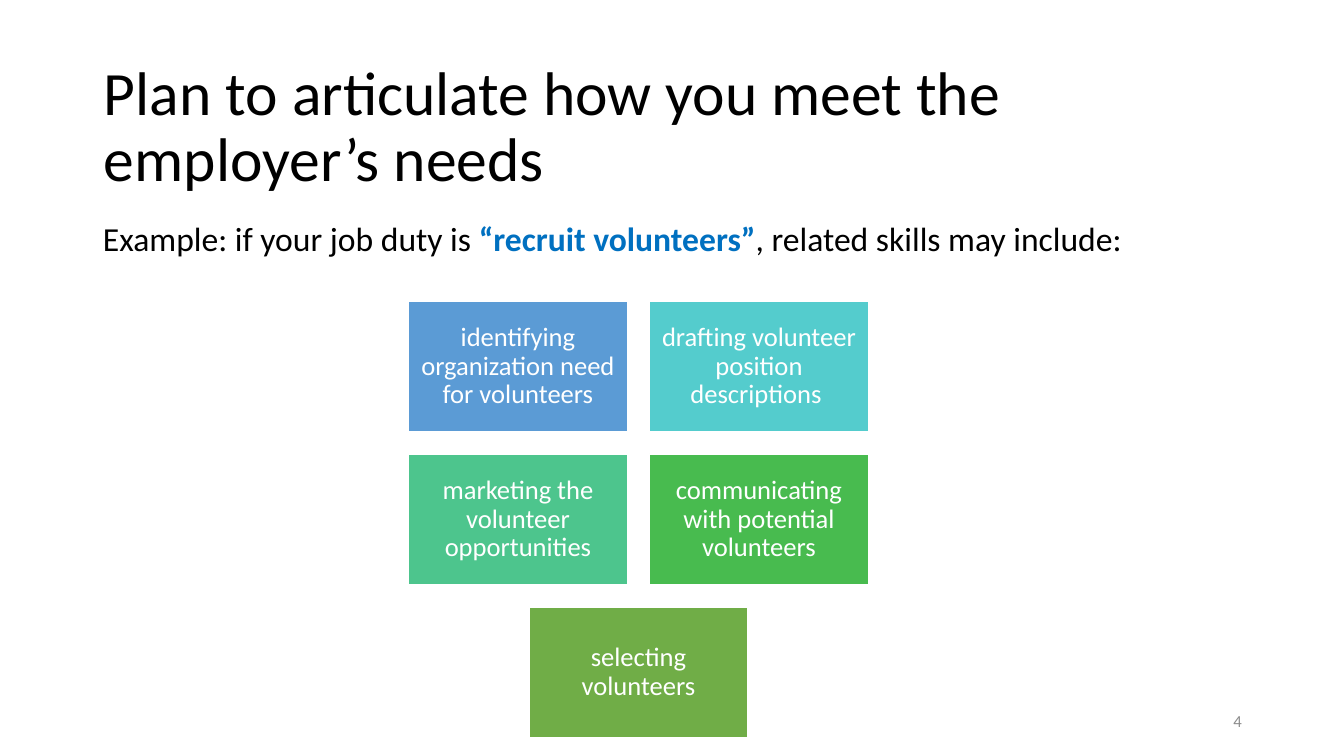
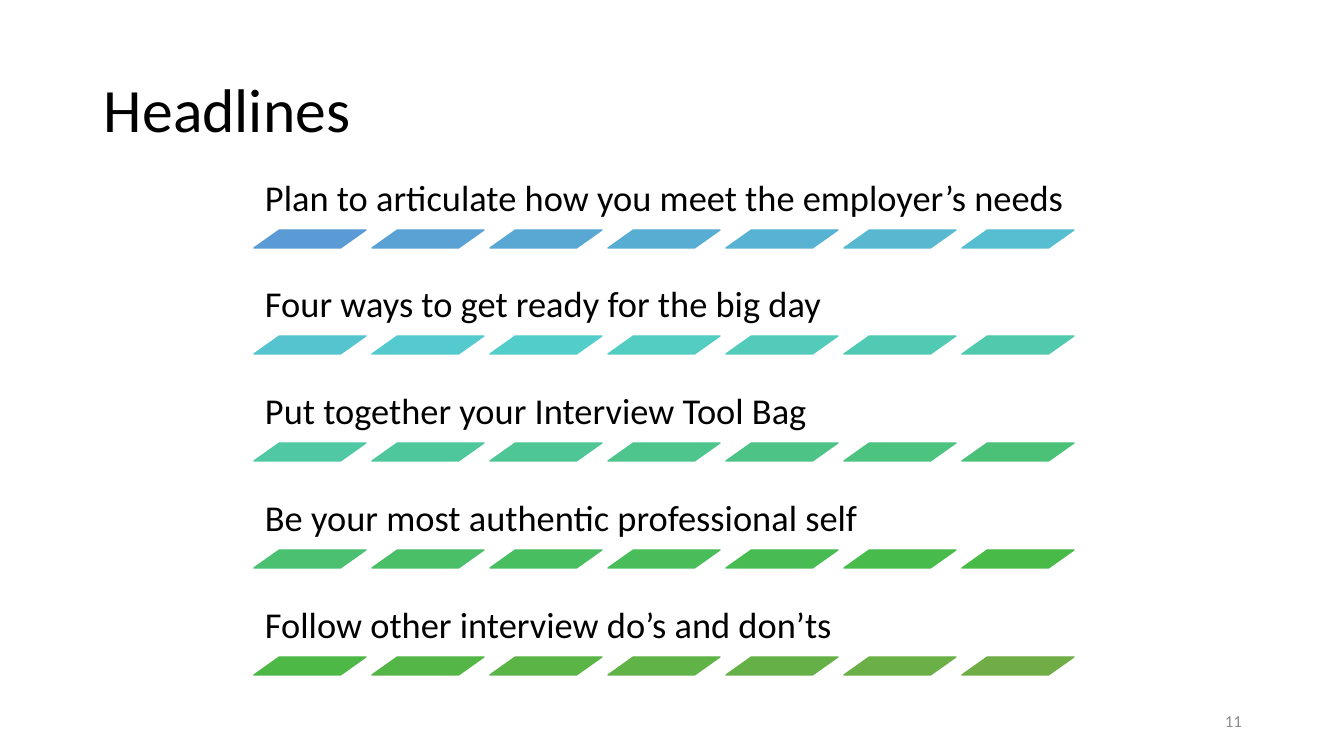
from colorsys import hls_to_rgb, rgb_to_hls
from pptx import Presentation
from pptx.dml.color import RGBColor
from pptx.enum.shapes import MSO_SHAPE as Shape
from pptx.enum.text import MSO_ANCHOR as Anchor, MSO_AUTO_SIZE as AutoSize, PP_ALIGN as Align
from pptx.util import Emu, Pt

FONT = "Calibri"
BLACK, WHITE, GREY, ACCENT = "000000", "FFFFFF", "8C8C8C", "0070C0"
GRADIENT_START, GRADIENT_END = "5B9BD5", "70AD47"
TITLE_ONLY = 5
SLIDE_SIZE = (1344, 756)
PAGE_NUMBER_BOX = (950, 701, 302, 40)

SKILLS = [
    ["identifying organization need for volunteers", "drafting volunteer position descriptions "],
    ["marketing the volunteer opportunities", "communicating with potential volunteers"],
    ["selecting volunteers"],
]
HEADLINES = [
    "Plan to articulate how you meet the employer’s needs",
    "Four ways to get ready for the big day",
    "Put together your Interview Tool Bag",
    "Be your most authentic professional self",
    "Follow other interview do’s and don’ts",
]
DASHES = 7


def px(length):
    return Emu(round(length * 914400 / 100.8))


def rgb(code):
    return RGBColor.from_string(code)


def blend(share):
    ends = [rgb_to_hls(*(part / 255 for part in rgb(code))) for code in (GRADIENT_START, GRADIENT_END)]
    mixed = (first + (last - first) * share for first, last in zip(*ends))
    return "".join(f"{round(part * 255):02X}" for part in hls_to_rgb(*mixed))


def style_text(frame, size, color, anchor, align=Align.LEFT, inset=(10, 5), spacing=1.0):
    frame.word_wrap = True
    frame.auto_size = AutoSize.NONE
    frame.vertical_anchor = anchor
    frame.margin_left = frame.margin_right = px(inset[0])
    frame.margin_top = frame.margin_bottom = px(inset[1])
    for paragraph in frame.paragraphs:
        paragraph.alignment = align
        paragraph.line_spacing = spacing
        paragraph.font.name = FONT
        paragraph.font.size = Pt(size)
        paragraph.font.color.rgb = rgb(color)


def add_text(slide, box, text, size, color, anchor, **style):
    frame = slide.shapes.add_textbox(*map(px, box)).text_frame
    frame.text = text
    style_text(frame, size, color, anchor, **style)
    return frame


def add_block(slide, kind, box, fill, line):
    block = slide.shapes.add_shape(kind, *map(px, box))
    block.shadow.inherit = False
    block.fill.solid()
    block.fill.fore_color.rgb = rgb(fill)
    block.line.color.rgb = rgb(line)
    block.line.width = Pt(1)
    return block


def add_slide(deck, title, box, anchor, number):
    slide = deck.slides.add_slide(deck.slide_layouts[TITLE_ONLY])
    heading = slide.shapes.title
    heading.left, heading.top, heading.width, heading.height = map(px, box)
    heading.text_frame.text = title
    style_text(heading.text_frame, 44, BLACK, anchor, inset=(11, 11), spacing=0.9)
    add_text(slide, PAGE_NUMBER_BOX, number, 12, GREY, Anchor.MIDDLE, align=Align.RIGHT)
    return slide


def add_skill_tiles(slide):
    width, height, gap_x, gap_y = 219, 131, 22, 22
    center, top = 638.5, 301
    count = sum(map(len, SKILLS))
    index = 0
    for row, skills in enumerate(SKILLS):
        left = center - (len(skills) * (width + gap_x) - gap_x) / 2
        for column, skill in enumerate(skills):
            box = (left + column * (width + gap_x), top + row * (height + gap_y), width, height)
            tile = add_block(slide, Shape.RECTANGLE, box, blend(index / (count - 1)), WHITE)
            tile.text_frame.text = skill
            style_text(tile.text_frame, 19, WHITE, Anchor.MIDDLE, align=Align.CENTER, inset=(8, 8), spacing=0.9)
            index += 1


def add_headline(slide, row, headline):
    left, dash_top, label_height = 254, 230 + row * 427 // 4, 76
    add_text(slide, (left, dash_top - label_height, 837, label_height), headline, 26, BLACK,
             Anchor.BOTTOM, inset=(11, 11), spacing=0.9)
    last = len(HEADLINES) * DASHES - 1
    for column in range(DASHES):
        color = blend((row * DASHES + column) / last)
        dash = add_block(slide, Shape.PARALLELOGRAM, (left + column * 118, dash_top, 112, 18), color, color)
        dash.adjustments[0] = 1.41


def build_needs(deck):
    slide = add_slide(deck, HEADLINES[0], (93, 31, 1159, 175), Anchor.BOTTOM, "4")
    example = add_text(slide, (93, 213, 1094, 50), "Example: if your job duty is ", 24, BLACK, Anchor.TOP)
    sentence = example.paragraphs[0]
    duty = sentence.add_run()
    duty.text = "“recruit volunteers”"
    duty.font.bold = True
    duty.font.color.rgb = rgb(ACCENT)
    sentence.add_run().text = ", related skills may include:"
    add_skill_tiles(slide)


def build_headlines(deck):
    slide = add_slide(deck, "Headlines", (93, 40, 1159, 146), Anchor.MIDDLE, "11")
    for row, headline in enumerate(HEADLINES):
        add_headline(slide, row, headline)


def main():
    deck = Presentation()
    deck.slide_width, deck.slide_height = map(px, SLIDE_SIZE)
    build_needs(deck)
    build_headlines(deck)
    deck.save("out.pptx")


main()
